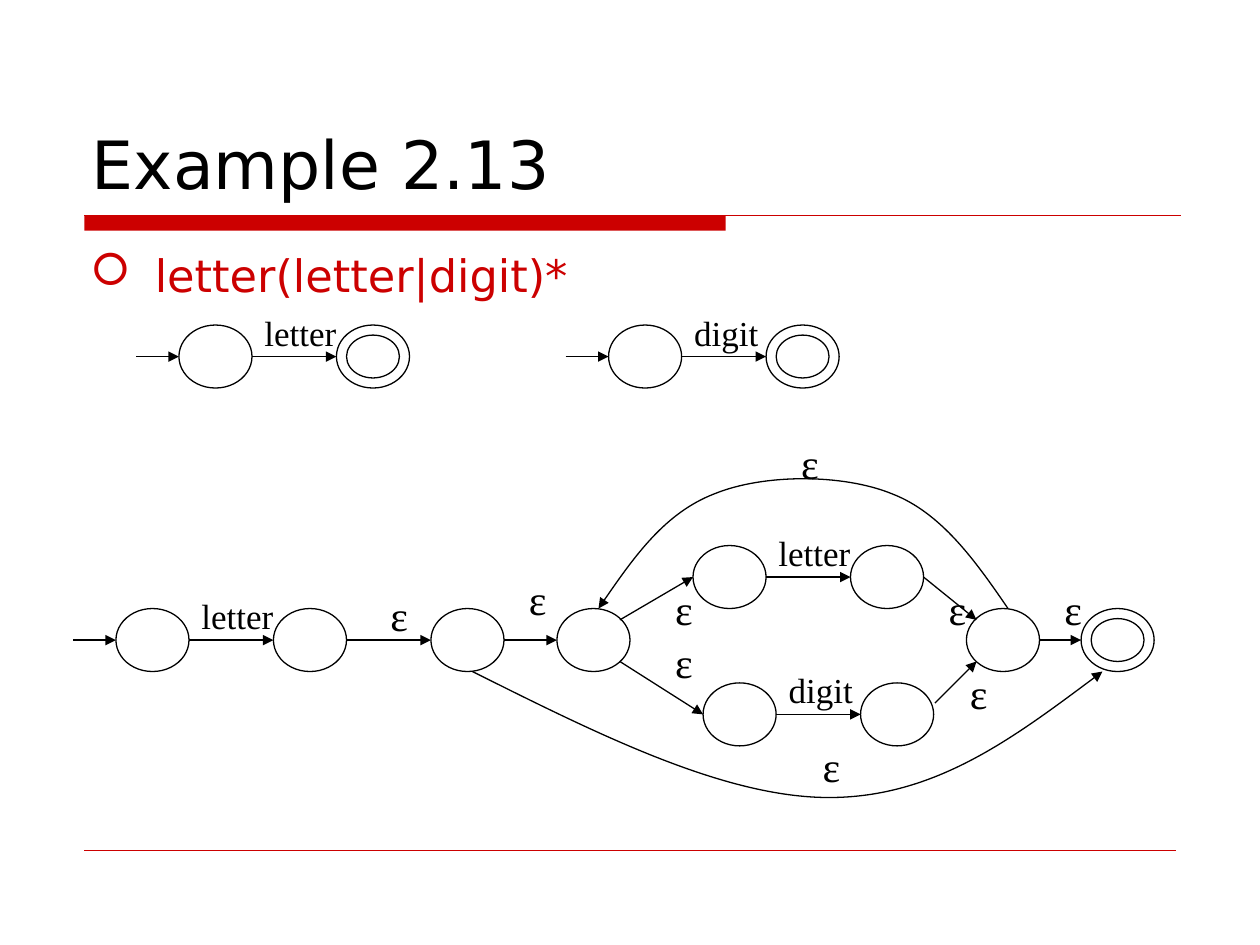
from pptx import Presentation, util as u
from pptx.dml.color import RGBColor
from pptx.enum import shapes, text
from pptx.oxml import ns, xmlchemy

RED, BLACK = "CC0000", "000000"
SANS, SERIF = "DejaVu Sans", "Times New Roman"
STATE_W, STATE_H = 0.58, 0.5
PAIR_STEP = 1.25


def color(value):
    """Turn a hex string into a colour."""
    return RGBColor.from_string(value)


def child(parent, tag, **attributes):
    """Append a drawing element to a parent and return it."""
    element = xmlchemy.OxmlElement(tag)
    for name, value in attributes.items():
        element.set(name, str(value))
    parent.append(element)
    return element


class Diagram:
    """Draws text and automaton parts on one slide."""

    def __init__(self, page, ink=BLACK, weight=0.74):
        """Keep the slide and the line style."""
        self.page = page
        self.ink = ink
        self.weight = weight

    def outline(self, item, arrow=False, ink=None, weight=None):
        """Style a line, with an arrowhead at its end if wanted."""
        item.line.color.rgb = color(ink or self.ink)
        item.line.width = u.Pt(weight or self.weight)
        if arrow:
            child(item.line._get_or_add_ln(), "a:tailEnd", type="triangle")

    def line(self, x1, y1, x2, y2, **style):
        """Draw a straight line."""
        line = self.page.shapes.add_connector(
            shapes.MSO_CONNECTOR.STRAIGHT, *map(u.Inches, (x1, y1, x2, y2)))
        self.outline(line, **style)
        child(line.element.spPr, "a:effectLst")

    def edge(self, x1, y1, x2, y2):
        """Draw a transition arrow."""
        self.line(x1, y1, x2, y2, arrow=True)

    def bar(self, left, top, width, height, fill):
        """Draw a filled rectangle without an outline."""
        bar = self.page.shapes.add_shape(
            shapes.MSO_SHAPE.RECTANGLE, *map(u.Inches, (left, top, width, height)))
        bar.shadow.inherit = False
        bar.fill.solid()
        bar.fill.fore_color.rgb = color(fill)
        bar.line.fill.background()

    def ellipse(self, left, top, width, height):
        """Draw an unfilled ellipse."""
        ellipse = self.page.shapes.add_shape(
            shapes.MSO_SHAPE.OVAL, *map(u.Inches, (left, top, width, height)))
        ellipse.shadow.inherit = False
        ellipse.fill.background()
        self.outline(ellipse)

    def state(self, left, top, accepting=False):
        """Draw a state, with an inner ring if it accepts."""
        self.ellipse(left, top, STATE_W, STATE_H)
        if accepting:
            self.ellipse(left + 0.08, top + 0.08, STATE_W - 0.16, STATE_H - 0.16)

    def entry(self, left, top):
        """Draw the start arrow into a state."""
        middle = top + STATE_H / 2
        self.edge(left - 0.34, middle, left, middle)

    def pair(self, left, top, word, accepting=False):
        """Draw two states joined by a labelled transition."""
        start, middle = left + STATE_W, top + STATE_H / 2
        self.state(left, top)
        self.state(left + PAIR_STEP, top, accepting)
        self.edge(start, middle, left + PAIR_STEP, middle)
        self.label(start, top - 0.16, word)

    def curve(self, *points):
        """Draw an arrow along cubic curves, three points to each after the start."""
        # The builder rounds to whole units, so it works in EMU.
        start, *others = [tuple(map(u.Inches, point)) for point in points]
        builder = self.page.shapes.build_freeform(*start)
        builder.add_line_segments(others, close=False)
        curve = builder.convert_to_shape()
        curve.shadow.inherit = False
        curve.fill.background()
        self.outline(curve, arrow=True)
        segments = list(curve.element.iter(ns.qn("a:lnTo")))
        outline = segments[0].getparent()
        for first in range(0, len(segments), 3):
            bezier = child(outline, "a:cubicBezTo")
            for segment in segments[first:first + 3]:
                bezier.append(segment[0])
                outline.remove(segment)

    def text(self, left, top, width, height, words, size, font=SANS, ink=BLACK,
             anchor=text.MSO_ANCHOR.TOP, wrap=True):
        """Write one paragraph and return it."""
        box = self.page.shapes.add_textbox(
            *map(u.Inches, (left, top, width, height)))
        frame = box.text_frame
        frame.word_wrap = wrap
        frame.vertical_anchor = anchor
        if not wrap:
            frame.auto_size = text.MSO_AUTO_SIZE.SHAPE_TO_FIT_TEXT
        para = frame.paragraphs[0]
        para.text = words
        para.font.size = u.Pt(size)
        para.font.name = font
        para.font.color.rgb = color(ink)
        return para

    def label(self, left, top, word):
        """Write the word of a transition."""
        width = 0.77 if word == "letter" else 0.71
        self.text(left, top, width, 0.44, word, 20, SERIF, wrap=False)

    def epsilon(self, left, top):
        """Write the sign of an empty transition."""
        self.text(left, top, 0.34, 0.5, "ε", 24, SERIF, wrap=False)

    def bullet(self, left, top, width, height, words):
        """Write a line with a square bullet."""
        para = self.text(left, top, width, height, words, 25.5, ink=RED)
        para.space_before = u.Pt(7.5)
        props = para._p.get_or_add_pPr()
        props.set("marL", str(u.Inches(0.51)))
        props.set("indent", str(u.Inches(-0.51)))
        tint = xmlchemy.OxmlElement("a:buClr")
        child(tint, "a:srgbClr", val=RED)
        font = xmlchemy.OxmlElement("a:buFont")
        font.set("typeface", "Wingdings")
        mark = xmlchemy.OxmlElement("a:buChar")
        mark.set("char", "□")
        spacing = props.find(ns.qn("a:spcBef"))
        for element in (mark, font, tint):
            spacing.addnext(element)


deck = Presentation()
deck.slide_width, deck.slide_height = u.Inches(10), u.Inches(7.5)
diagram = Diagram(deck.slides.add_slide(deck.slide_layouts[6]))

diagram.bar(0.67, 1.71, 5.09, 0.12, RED)
diagram.line(0.67, 1.71, 9.37, 1.71, ink=RED, weight=1)
diagram.line(0.67, 6.75, 9.33, 6.75, ink=RED, weight=0.26)
diagram.text(0.63, 0.33, 8.75, 1.33, "Example 2.13", 38,
             anchor=text.MSO_ANCHOR.BOTTOM)
diagram.bullet(0.62, 1.92, 8.75, 0.55, "letter(letter|digit)*")

# Basic automata
for left, word in ((1.42, "letter"), (4.83, "digit")):
    diagram.pair(left, 2.58, word, accepting=True)
    diagram.entry(left, 2.58)

# Combined automaton
ROW = 4.83
MIDDLE = ROW + STATE_H / 2
diagram.entry(0.92, ROW)
diagram.pair(0.92, ROW, "letter")
diagram.pair(5.5, 4.33, "letter")
diagram.pair(5.58, 5.42, "digit")
for left in (3.42, 4.42, 7.67):
    diagram.state(left, ROW)
diagram.state(8.58, ROW, accepting=True)

for start, end in ((2.75, 3.42), (4, 4.42), (8.25, 8.58)):
    diagram.edge(start, MIDDLE, end, MIDDLE)
for ends in ((4.92, 4.92, 5.5, 4.58), (4.92, 5.25, 5.58, 5.67),
             (7.33, 4.58, 7.75, 4.92), (7.42, 5.58, 7.75, 5.25)):
    diagram.edge(*ends)

diagram.curve((3.75, 5.33), (4.75, 5.83), (5.75, 6.33), (6.58, 6.33),
              (7.42, 6.33), (8.08, 5.83), (8.75, 5.33))
diagram.curve((8, 4.83), (7.74, 4.45), (7.47, 4.07), (7.08, 3.92),
              (6.69, 3.76), (6.06, 3.76), (5.67, 3.92),
              (5.28, 4.07), (5.01, 4.45), (4.75, 4.83))

for place in ((3, 4.63), (4.1, 4.5), (6.43, 5.83), (5.26, 4.58), (5.26, 5),
              (7.6, 5.25), (7.43, 4.58), (6.26, 3.42), (8.35, 4.58)):
    diagram.epsilon(*place)

deck.save("out.pptx")
